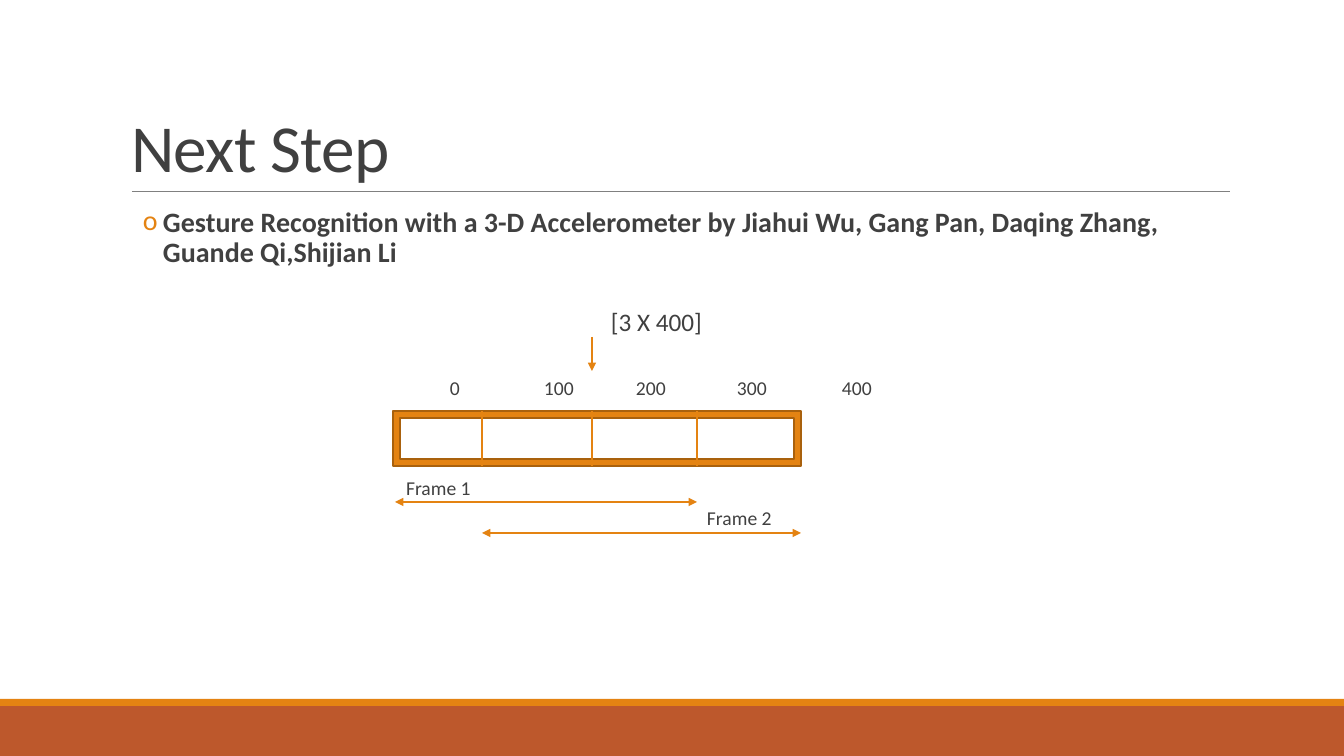
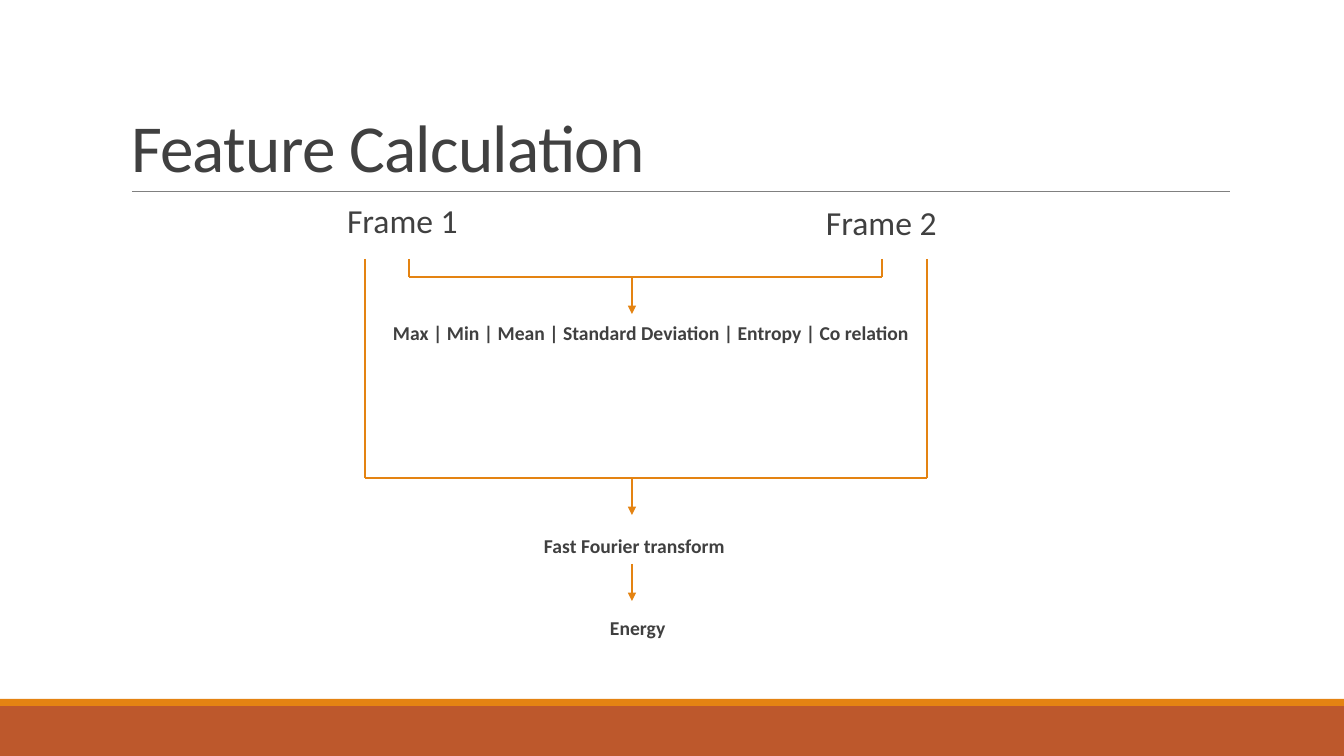
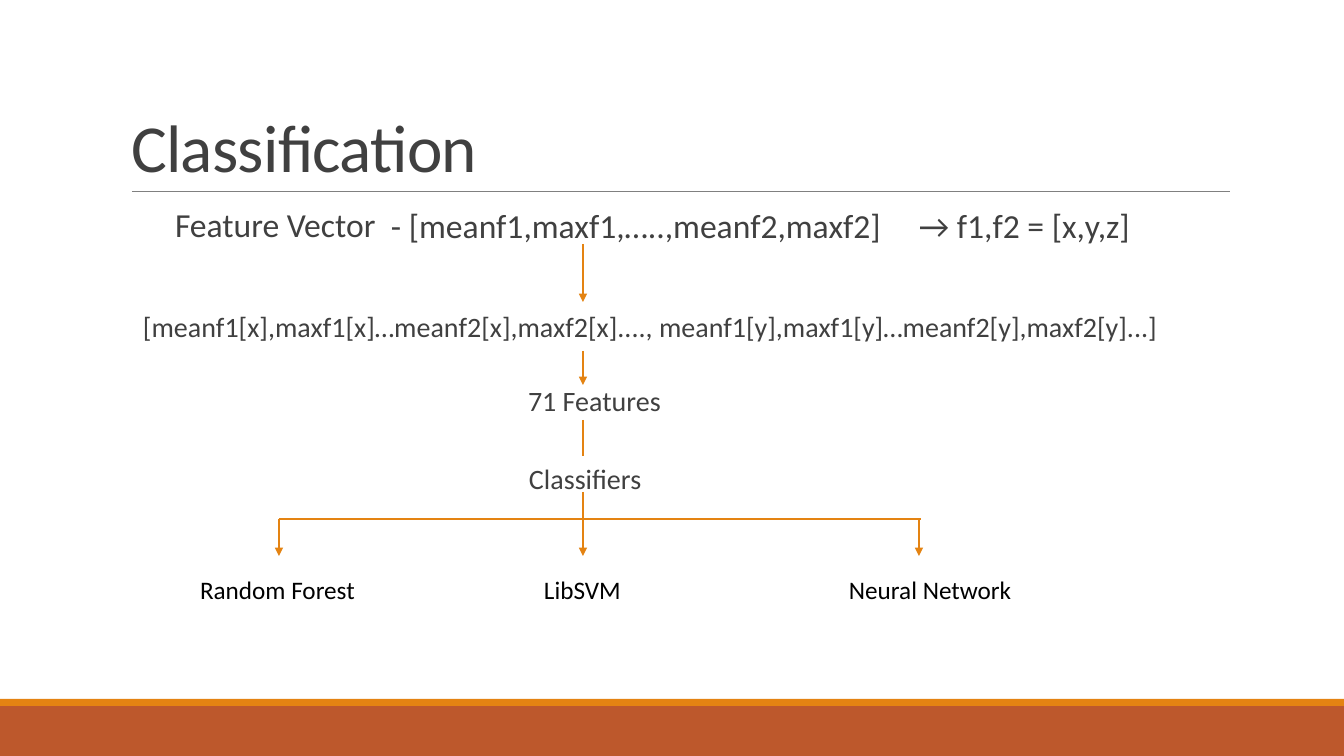
from lxml import etree
from pptx import Presentation
from pptx.dml.color import RGBColor
from pptx.enum import shapes, text
from pptx.oxml import ns
from pptx.util import Emu, Pt

# Scale: the slide is 1344 by 756 px
SLIDE_W, SLIDE_H = 1344, 756
EMU_PER_PX = 12192000 / SLIDE_W
PX_PER_PT = 1.4

# Shared style
FONT = "Calibri"
ORANGE = RGBColor(0xE4, 0x83, 0x12)
DARK_ORANGE = RGBColor(0xA9, 0x61, 0x0D)
RUST = RGBColor(0xBD, 0x58, 0x2C)
GRAY = RGBColor(0x80, 0x80, 0x80)
INK = RGBColor(0x40, 0x40, 0x40)
BLACK = RGBColor(0, 0, 0)

TITLE_BOX = (121, 31, 1109, 160)
BODY_BOX = (121, 203, 1109, 444)
BODY_LEFT = BODY_BOX[0]

# Font metrics as shares of the text size
ASCENT, DESCENT, CHAR_WIDTH = 0.95, 0.25, 0.6


def px(length):
    return Emu(round(length * EMU_PER_PX))


def apply(target, **values):
    for name, value in values.items():
        setattr(target, name, value)


def place(shape, box):
    apply(shape, **dict(zip(("left", "top", "width", "height"), map(px, box))))


def add_xml(parent, tag, **attributes):
    return etree.SubElement(parent, ns.qn(tag), attributes)


# Lines and shapes
def add_line(slide, start, end, heads=(), color=ORANGE, width=1):
    """heads holds headEnd and/or tailEnd, the ends that get an arrowhead."""
    line = slide.shapes.add_connector(
        shapes.MSO_CONNECTOR.STRAIGHT, *map(px, (*start, *end)))
    line.line.color.rgb = color
    line.line.width = Pt(width)
    stroke = line.line._get_or_add_ln()
    for head in heads:
        add_xml(stroke, f"a:{head}", type="triangle")
    add_xml(line.element.spPr, "a:effectLst")
    return line


def add_arrow(slide, x, top, bottom):
    return add_line(slide, (x, top), (x, bottom), ("tailEnd",))


def add_block(slide, kind, box, fill, outline=None):
    block = slide.shapes.add_shape(kind, *map(px, box))
    block.shadow.inherit = False
    block.fill.solid()
    block.fill.fore_color.rgb = fill
    if outline:
        block.line.color.rgb = outline
        block.line.width = Pt(1.25)
    else:
        block.line.fill.background()
    return block


# Text
def add_run(paragraph, words, size, color=INK, bold=False):
    run = paragraph.add_run()
    run.text = words
    apply(run.font, name=FONT, size=Pt(size), bold=bold)
    run.font.color.rgb = color
    return run


def add_label(slide, words, x, baseline, size, color=INK, bold=False):
    """Add a one-line text box whose words start at x on the baseline."""
    em = size * PX_PER_PT
    box = (x, round(baseline - ASCENT * em),
           round(len(words) * CHAR_WIDTH * em) + 4, round(1.25 * em))
    frame = slide.shapes.add_textbox(*map(px, box)).text_frame
    apply(frame, word_wrap=True, margin_left=0, margin_right=0,
          margin_top=0, margin_bottom=0)
    add_run(frame.paragraphs[0], words, size, color, bold)


def add_bullet(frame, words, size):
    bullet = frame.paragraphs[0]
    apply(bullet, line_spacing=0.9, space_before=Pt(0), space_after=Pt(0))
    add_run(bullet, words, size, bold=True)
    props = bullet._p.get_or_add_pPr()
    props.set("marL", str(px(42)))
    props.set("indent", str(-px(20)))
    add_xml(add_xml(props, "a:buClr"), "a:srgbClr", val=str(ORANGE))
    add_xml(props, "a:buFont", typeface=FONT)
    add_xml(props, "a:buChar", char="o")


def add_rows(slide, rows, spacing, bottom=None):
    """Add rows of (baseline, size, bold, cells); each cell is (x, words).

    The space above a row follows from its baseline and the bottom of the
    row before. The first cell is a body paragraph, the others are labels.
    """
    frame = slide.placeholders[1].text_frame
    for baseline, size, bold, ((x, words), *others) in rows:
        ascent = (ASCENT - (ASCENT + DESCENT) * (1 - spacing)) * size
        gap = 0
        row = frame.paragraphs[0]
        if bottom is not None:
            gap = max(0, (baseline - bottom) / PX_PER_PT - ascent)
            row = frame.add_paragraph()
        bottom = baseline + DESCENT * size * PX_PER_PT
        apply(row, line_spacing=spacing, space_before=Pt(gap),
              space_after=Pt(0))
        add_run(row, words, size, bold=bold)
        props = row._p.get_or_add_pPr()
        props.set("marL", str(px(x - BODY_LEFT)))
        props.set("indent", "0")
        add_xml(props, "a:buNone")
        for label_x, label in others:
            add_label(slide, label, label_x, baseline, size, bold=bold)


# Shared layout: placeholders, bands and the rule under the title
def prepare_layout(layout, slide):
    title, body = layout.placeholders[0], layout.placeholders[1]
    place(title, TITLE_BOX)
    place(body, BODY_BOX)
    apply(title.text_frame, vertical_anchor=text.MSO_ANCHOR.BOTTOM,
          auto_size=text.MSO_AUTO_SIZE.NONE)
    apply(body.text_frame, vertical_anchor=text.MSO_ANCHOR.TOP,
          auto_size=text.MSO_AUTO_SIZE.NONE, margin_left=0, margin_right=0,
          margin_top=px(5), margin_bottom=px(5))
    rectangle = shapes.MSO_SHAPE.RECTANGLE
    decoration = (
        add_block(slide, rectangle, (0, 706, SLIDE_W, 50), RUST),
        add_block(slide, rectangle, (0, 699, SLIDE_W, 7), ORANGE),
        add_line(slide, (132, 191), (1230, 191), color=GRAY, width=0.5),
    )
    for part in decoration:
        layout.shapes.element.append(part.element)


def set_title(slide, words):
    heading = slide.shapes.title.text_frame.paragraphs[0]
    apply(heading, alignment=text.PP_ALIGN.LEFT, line_spacing=0.85)
    run = add_run(heading, words, 48)
    run._r.get_or_add_rPr().set("spc", "-50")


# Slides
def build_next_step(slide):
    set_title(slide, "Next Step")
    add_bullet(slide.placeholders[1].text_frame,
               "Gesture Recognition with a 3-D Accelerometer by Jiahui "
               "Wu, Gang Pan, Daqing Zhang, Guande Qi,Shijian Li", 20)
    ticks = zip((450, 544, 636, 737, 842), ("0", "100", "200", "300", "400"))
    add_rows(slide, [
        (331, 18, False, [(611, "[3 X 400]")]),
        (395, 14, False, list(ticks)),
        (495, 14, False, [(406, "Frame 1")]),
        (525, 14, False, [(707, "Frame 2")]),
    ], 0.9, bottom=269)

    # Sample window with its dividers and the two overlapping frames
    left, top, width, height = window = (393, 411, 408, 55)
    add_arrow(slide, 592, 337, 371)
    add_block(slide, shapes.MSO_SHAPE.FRAME, window, ORANGE, DARK_ORANGE)
    for x in (482, 592, 697):
        add_line(slide, (x, top), (x, top + height))
    for start, end, y in ((395, 697, 502), (482, left + width, 533)):
        add_line(slide, (start, y), (end, y), ("headEnd", "tailEnd"))


def build_feature_calculation(slide):
    set_title(slide, "Feature Calculation")
    add_rows(slide, [
        (234, 24, False, [(347, "Frame 1"), (826, "Frame 2")]),
        (341, 14, True, [(393, "Max | Min | Mean | Standard Deviation | "
                               "Entropy | Co relation")]),
        (554, 14, True, [(544, "Fast Fourier transform")]),
        (636, 14, True, [(610, "Energy")]),
    ], 0.8)

    # Brackets joining both frames, each with an arrow below
    for left, right, y in ((409, 882, 277), (365, 927, 478)):
        for x in (left, right):
            add_line(slide, (x, 259), (x, y))
        add_line(slide, (left, y), (right, y))
    for y in (277, 478, 564):
        add_arrow(slide, 632, y, y + 37)


def build_classification(slide):
    set_title(slide, "Classification")
    add_rows(slide, [
        (237, 24, False, [(175, "Feature Vector"),
                          (391, "- [meanf1,maxf1,…..,meanf2,maxf2]"),
                          (919, "→ f1,f2 = [x,y,z]")]),
        (338, 20, False, [(143, "[meanf1[x],maxf1[x]…meanf2[x],maxf2[x]...., "
                                "meanf1[y],maxf1[y]…meanf2[y],maxf2[y]...]")]),
        (412, 20, False, [(528, "71 Features")]),
        (490, 20, False, [(529, "Classifiers")]),
    ], 0.9)

    # Flow down to the classifiers
    trunk, branch = 583, 519
    for top, bottom in ((244, 302), (351, 385)):
        add_arrow(slide, trunk, top, bottom)
    for top, bottom in ((420, 456), (492, branch)):
        add_line(slide, (trunk, top), (trunk, bottom))
    add_line(slide, (279, branch), (921, branch))
    for x, left, name in ((279, 200, "Random Forest"),
                          (trunk, 544, "LibSVM"),
                          (919, 849, "Neural Network")):
        add_arrow(slide, x, branch, branch + 37)
        add_label(slide, name, left, 598, 18, BLACK)


def main():
    deck = Presentation()
    deck.slide_width, deck.slide_height = px(SLIDE_W), px(SLIDE_H)
    layout = deck.slide_layouts[1]
    builders = (build_next_step, build_feature_calculation,
                build_classification)
    for number, build in enumerate(builders):
        slide = deck.slides.add_slide(layout)
        if number == 0:
            prepare_layout(layout, slide)
        build(slide)
    deck.save("out.pptx")


if __name__ == "__main__":
    main()
